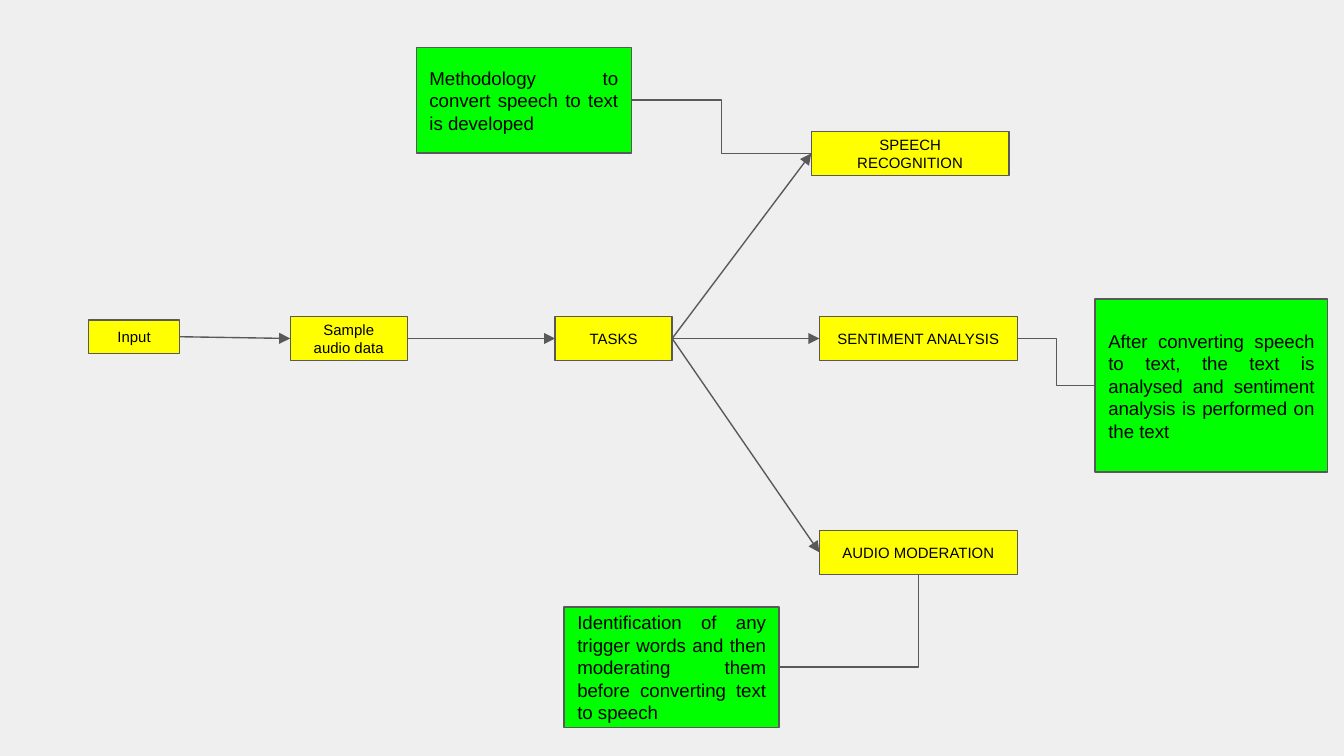
from lxml import etree
from pptx import Presentation
from pptx.dml.color import RGBColor
from pptx.enum.shapes import MSO_CONNECTOR, MSO_SHAPE
from pptx.enum.text import MSO_ANCHOR, PP_ALIGN
from pptx.oxml.ns import qn
from pptx.util import Pt

RECT = MSO_SHAPE.RECTANGLE
STRAIGHT, ELBOW = MSO_CONNECTOR.STRAIGHT, MSO_CONNECTOR.ELBOW
CENTER, JUSTIFY, MIDDLE = PP_ALIGN.CENTER, PP_ALIGN.JUSTIFY, MSO_ANCHOR.MIDDLE
TOP, LEFT, BOTTOM, RIGHT = range(4)  # connection sites of a rectangle

COLORS = {"background": "EFEFEF", "step": "FFFF00", "note": "00FF00",
          "line": "595959", "text": "000000"}
STYLES = {"step": {"size": 8, "align": CENTER},
          "note": {"size": 10, "align": JUSTIFY}}
FRAME = {"word_wrap": True, "vertical_anchor": MIDDLE,
         "margin_left": Pt(7.2), "margin_right": Pt(7.2),
         "margin_top": Pt(7.2), "margin_bottom": Pt(7.2)}

# Content: name, style, text, (left, top, width, height) in points
ROW, STEP_H = 169.5, 23.7
BOXES = [
    ("input", "step", "Input", (47.4, 171.4, 48.9, 18)),
    ("sample", "step", "Sample audio data", (155.5, ROW, 62.7, STEP_H)),
    ("tasks", "step", "TASKS", (297.4, ROW, 62.7, STEP_H)),
    ("speech", "step", "SPEECH RECOGNITION", (434.6, 70.4, 106, STEP_H)),
    ("sentiment", "step", "SENTIMENT ANALYSIS", (439, ROW, 106, STEP_H)),
    ("moderation", "step", "AUDIO MODERATION", (439, 284.1, 106, STEP_H)),
    ("speech note", "note",
     "Methodology to convert speech to text is developed",
     (223, 25.3, 115.2, 56.8)),
    ("sentiment note", "note",
     "After converting speech to text, the text is analysed and sentiment "
     "analysis is performed on the text",
     (586.7, 160.3, 124.5, 92.7)),
    ("moderation note", "note",
     "Identification of any trigger words and then moderating them before "
     "converting text to speech",
     (302.2, 325.1, 115.2, 64.6)),
]
ARROWS = [("input", "sample"), ("sample", "tasks"), ("tasks", "speech"),
          ("tasks", "sentiment"), ("tasks", "moderation")]
# Start box and site, end box and site, elbow geometry
ELBOWS = [
    ("speech", LEFT, "speech note", RIGHT, "bentConnector3"),
    ("sentiment", RIGHT, "sentiment note", LEFT, "bentConnector3"),
    ("moderation note", RIGHT, "moderation", BOTTOM, "bentConnector2"),
]


def rgb(name):
    return RGBColor.from_string(COLORS[name])


def set_line(line):
    line.color.rgb = rgb("line")
    line.width = Pt(0.75)


def add_box(slide, style, text, bounds):
    sp = slide.shapes.add_shape(RECT, *map(Pt, bounds))
    sp.shadow.inherit = False
    sp.fill.solid()
    sp.fill.fore_color.rgb = rgb(style)
    set_line(sp.line)
    tf = sp.text_frame
    for key, value in FRAME.items():
        setattr(tf, key, value)
    p = tf.paragraphs[0]
    p.alignment = STYLES[style]["align"]
    r = p.add_run()
    r.text = text
    r.font.name = "Arial"
    r.font.size = Pt(STYLES[style]["size"])
    r.font.color.rgb = rgb("text")
    return sp


def connect(slide, kind, start, start_site, end, end_site):
    cn = slide.shapes.add_connector(kind, 0, 0, 0, 0)
    cn.begin_connect(start, start_site)
    cn.end_connect(end, end_site)
    set_line(cn.line)
    etree.SubElement(cn._element.spPr, qn("a:effectLst"))
    return cn


prs = Presentation()
prs.slide_width, prs.slide_height = Pt(720), Pt(405)
s = prs.slides.add_slide(prs.slide_layouts[6])
s.background.fill.solid()
s.background.fill.fore_color.rgb = rgb("background")

# Steps and notes
boxes = {name: add_box(s, *parts) for name, *parts in BOXES}

# Arrows between the steps
for start, end in ARROWS:
    cn = connect(s, STRAIGHT, boxes[start], RIGHT, boxes[end], LEFT)
    etree.SubElement(cn.line._get_or_add_ln(), qn("a:tailEnd"), type="triangle")

# Elbows from the tasks to their notes
for start, start_site, end, end_site, geometry in ELBOWS:
    cn = connect(s, ELBOW, boxes[start], start_site, boxes[end], end_site)
    cn._element.spPr.find(qn("a:prstGeom")).set("prst", geometry)

prs.save("out.pptx")
